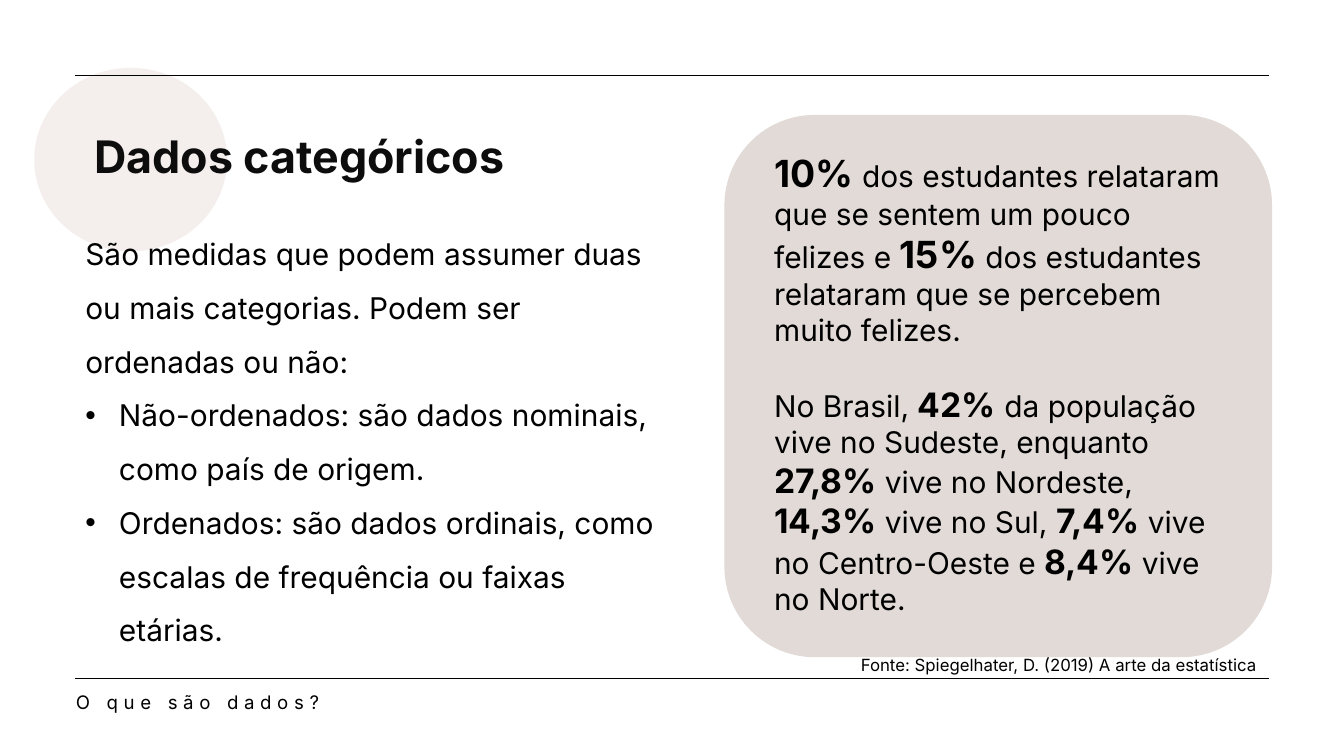
from lxml import etree
from pptx import Presentation
from pptx.dml.color import RGBColor
from pptx.enum import shapes, text
from pptx.oxml.ns import qn
from pptx.util import Pt

COLORS = {"black": "000000", "title": "0D0D0D", "card": "E1DAD6", "circle": "F4EFED"}
FONT = "Inter"

prs = Presentation()
prs.slide_width, prs.slide_height = Pt(1440), Pt(810)
s = prs.slides.add_slide(prs.slide_layouts[6])


def add_box(x, y, w, h, inset=(0, 0)):
    """Add a wrapping text box and return its text frame."""
    tf = s.shapes.add_textbox(Pt(x), Pt(y), Pt(w), Pt(h)).text_frame
    tf.word_wrap = True
    tf.auto_size = text.MSO_AUTO_SIZE.NONE
    tf.margin_left = tf.margin_right = Pt(inset[0])
    tf.margin_top = tf.margin_bottom = Pt(inset[1])
    return tf


def add_run(p, words, size, bold=False, color="black"):
    r = p.add_run()
    r.text = words
    r.font.name, r.font.size, r.font.bold = FONT, Pt(size), bold
    r.font.color.rgb = RGBColor.from_string(COLORS[color])
    return r


# Card on the right and circle behind the title
for kind, x, y, w, h, color in [
    (shapes.MSO_SHAPE.ROUNDED_RECTANGLE, 776.16, 123.12, 586.8, 581.04, "card"),
    (shapes.MSO_SHAPE.OVAL, 36.72, 72.72, 206.64, 196.56, "circle"),
]:
    sp = s.shapes.add_shape(kind, Pt(x), Pt(y), Pt(w), Pt(h))
    sp.shadow.inherit = False
    sp.fill.solid()
    sp.fill.fore_color.rgb = RGBColor.from_string(COLORS[color])
    sp.line.fill.background()

# Definition with its two bullets
tf = add_box(91.44, 233.28, 627.84, 574.56)
definition = [
    ("São medidas que podem assumer duas ou mais categorias. Podem ser ordenadas ou não:", False),
    ("Não-ordenados: são dados nominais, como país de origem.", True),
    ("Ordenados: são dados ordinais, como escalas de frequência ou faixas etárias.", True),
]
for i, (words, bullet) in enumerate(definition):
    p = tf.add_paragraph() if i else tf.paragraphs[0]
    p.line_spacing = 1.5
    if bullet:
        pPr = p._p.get_or_add_pPr()
        pPr.set("marL", str(Pt(36)))
        pPr.set("indent", str(Pt(-36)))
        etree.SubElement(pPr, qn("a:buFont")).set("typeface", "Arial")
        etree.SubElement(pPr, qn("a:buChar")).set("char", "•")
    add_run(p, words, 32)

# Rules at the top and bottom
for y in (80.64, 727.2):
    line = s.shapes.add_connector(shapes.MSO_CONNECTOR.STRAIGHT, Pt(80.64), Pt(y), Pt(1359.36), Pt(y))
    line.line.color.rgb = RGBColor.from_string(COLORS["black"])
    line.line.width = Pt(1.5)
    etree.SubElement(line._element.spPr, qn("a:effectLst"))

# Footer
p = add_box(81.36, 736.56, 915.12, 25.92).paragraphs[0]
p.line_spacing = Pt(28)
r = add_run(p, "O que são dados?", 20)
r.font._element.set("spc", "600")

# Source line
p = add_box(504.72, 697.68, 853.92, 28.8, inset=(7.2, 3.6)).paragraphs[0]
p.alignment = text.PP_ALIGN.RIGHT
add_run(p, "Fonte: Spiegelhater, D. (2019) A arte da estatística ", 18)

# Title
p = add_box(100.8, 137.52, 1258.56, 58.32).paragraphs[0]
add_run(p, "Dados categóricos", 48, True, "title")

# Examples in the card: (size of the bold figures, [(words, is figure)])
tf = add_box(829.44, 161.28, 480.24, 542.88)
examples = [
    (40, [
        ("10% ", True), ("dos estudantes relataram que se sentem um pouco felizes e ", False),
        ("15%", True), (" dos estudantes relataram que se percebem muito felizes.", False),
    ]),
    (36, [
        ("No Brasil, ", False), ("42%", True), (" da população vive no Sudeste, enquanto ", False),
        ("27,8% ", True), ("vive no Nordeste, ", False), ("14,3%", True), (" vive no Sul, ", False),
        ("7,4%", True), (" vive no Centro-Oeste e ", False), ("8,4% ", True), ("vive no Norte.", False),
    ]),
]
for i, (figure_size, runs) in enumerate(examples):
    p = tf.add_paragraph() if i else tf.paragraphs[0]
    if i:
        p.space_before = Pt(38.7)
    for words, figure in runs:
        add_run(p, words, figure_size if figure else 32, figure)

prs.save("out.pptx")
